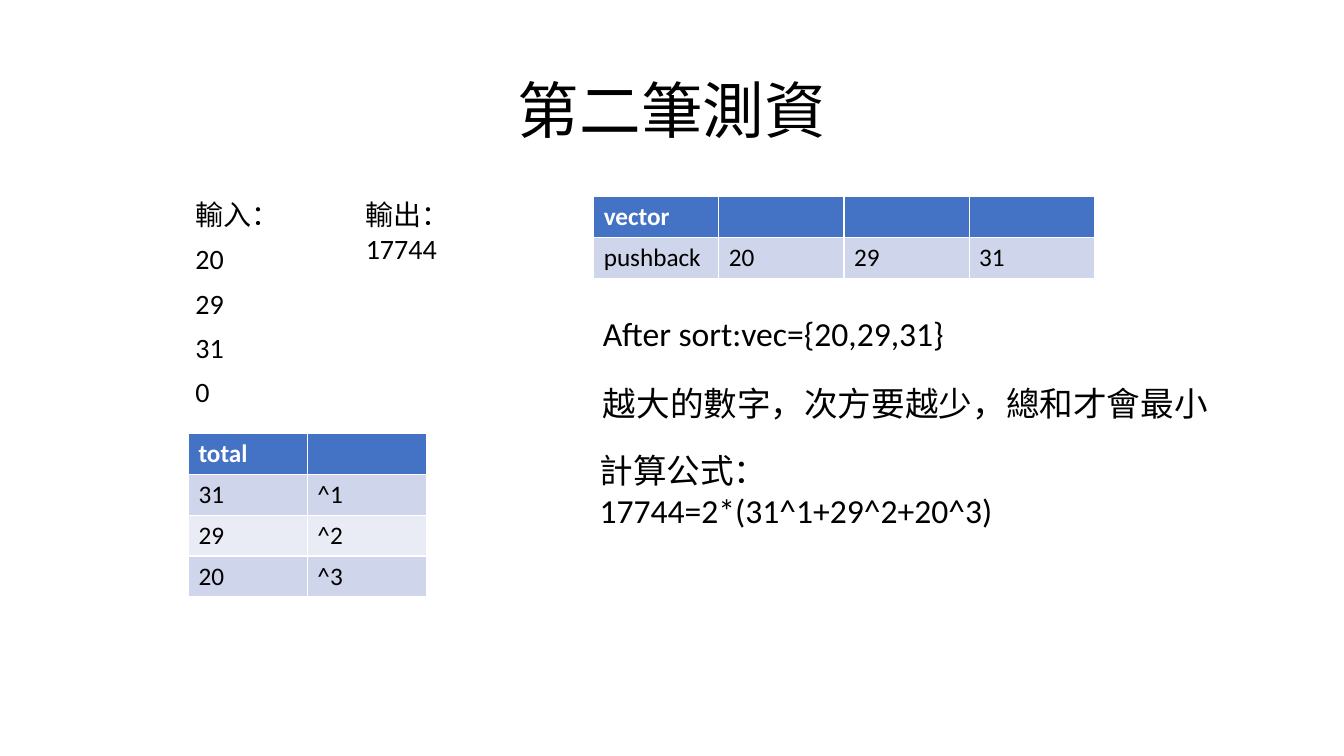
from pptx import Presentation
from pptx.dml.color import RGBColor
from pptx.enum.text import MSO_ANCHOR as Anchor, MSO_AUTO_SIZE as AutoSize, PP_ALIGN as Align
from pptx.util import Pt

BLACK = RGBColor(0x00, 0x00, 0x00)
WHITE = RGBColor(0xFF, 0xFF, 0xFF)
HEADER_BLUE = RGBColor(0x44, 0x72, 0xC4)
BANDS = (RGBColor(0xCF, 0xD5, 0xEA), RGBColor(0xE9, 0xEB, 0xF5))

TITLE = "第二筆測資"
INPUT_LINES = ["輸入：", "20", "29", "31", "0"]
OUTPUT_LINES = ["輸出：", "17744"]
NOTES = [
    (["After sort:vec={20,29,31}"], (423.5, 220.3, 441.4, 36.35), 7.2),
    (["越大的數字，次方要越少，總和才會最小"], (423.5, 270, 459.4, 36.35), 7.2),
    (["計算公式：17744=2*(31^1+29^2+20^3)"], (421.2, 317.5, 416.2, 65.4), 36),
]
TABLES = [
    ([["vector", "", "", ""], ["pushback", "20", "29", "31"]], (424.1, 140.4), 89.4),
    ([["total", ""], ["31", "^1"], ["29", "^2"], ["20", "^3"]], (134.6, 309.6), 85),
]
ROW_HEIGHT = 29.2


def write_text(frame, lines, size=18, fonts=("Calibri",), color=BLACK, bold=False,
               align=Align.LEFT, line_spacing=None, space_before=None):
    for index, line in enumerate(lines):
        paragraph = frame.paragraphs[0] if index == 0 else frame.add_paragraph()
        paragraph.alignment = align
        if line_spacing:
            paragraph.line_spacing = line_spacing
        if space_before is not None:
            paragraph.space_before = Pt(space_before)
        run = paragraph.add_run()
        run.text = line
        run.font.name = fonts[min(index, len(fonts) - 1)]
        run.font.size = Pt(size)
        run.font.bold = bold
        run.font.color.rgb = color


def add_text_box(slide, lines, box, right_margin=7.2, grow=True, **text_format):
    frame = slide.shapes.add_textbox(*map(Pt, box)).text_frame
    frame.word_wrap = True
    frame.auto_size = AutoSize.SHAPE_TO_FIT_TEXT if grow else AutoSize.NONE
    frame.margin_right = Pt(right_margin)
    write_text(frame, lines, **text_format)


def add_data_table(slide, rows, position, column_width):
    column_count = len(rows[0])
    size = (column_width * column_count, ROW_HEIGHT * len(rows))
    shape = slide.shapes.add_table(len(rows), column_count, *map(Pt, position + size))
    for row_index, row in enumerate(rows):
        is_header = row_index == 0
        for column_index, value in enumerate(row):
            cell = shape.table.cell(row_index, column_index)
            cell.fill.solid()
            cell.fill.fore_color.rgb = HEADER_BLUE if is_header else BANDS[(row_index - 1) % 2]
            if value:
                write_text(cell.text_frame, [value], bold=is_header,
                           color=WHITE if is_header else BLACK)


def main():
    presentation = Presentation()
    presentation.slide_width, presentation.slide_height = Pt(960), Pt(540)
    slide = presentation.slides.add_slide(presentation.slide_layouts[5])

    title = slide.shapes.title
    title.left, title.top, title.width, title.height = map(Pt, (66, 28.75, 828, 104.4))
    title.text_frame.vertical_anchor = Anchor.MIDDLE
    write_text(title.text_frame, [TITLE], size=44, align=Align.CENTER, line_spacing=0.9)

    label_fonts = ("Arial", "Calibri")
    add_text_box(slide, INPUT_LINES, (132.5, 140.4, 121.7, 162), grow=False, size=20,
                 fonts=label_fonts, line_spacing=0.9, space_before=10)
    add_text_box(slide, OUTPUT_LINES, (254.2, 137.5, 121.7, 55.7), size=20, fonts=label_fonts)
    for lines, box, right_margin in NOTES:
        add_text_box(slide, lines, box, right_margin=right_margin, size=24)
    for rows, position, column_width in TABLES:
        add_data_table(slide, rows, position, column_width)

    presentation.save("out.pptx")


if __name__ == "__main__":
    main()
